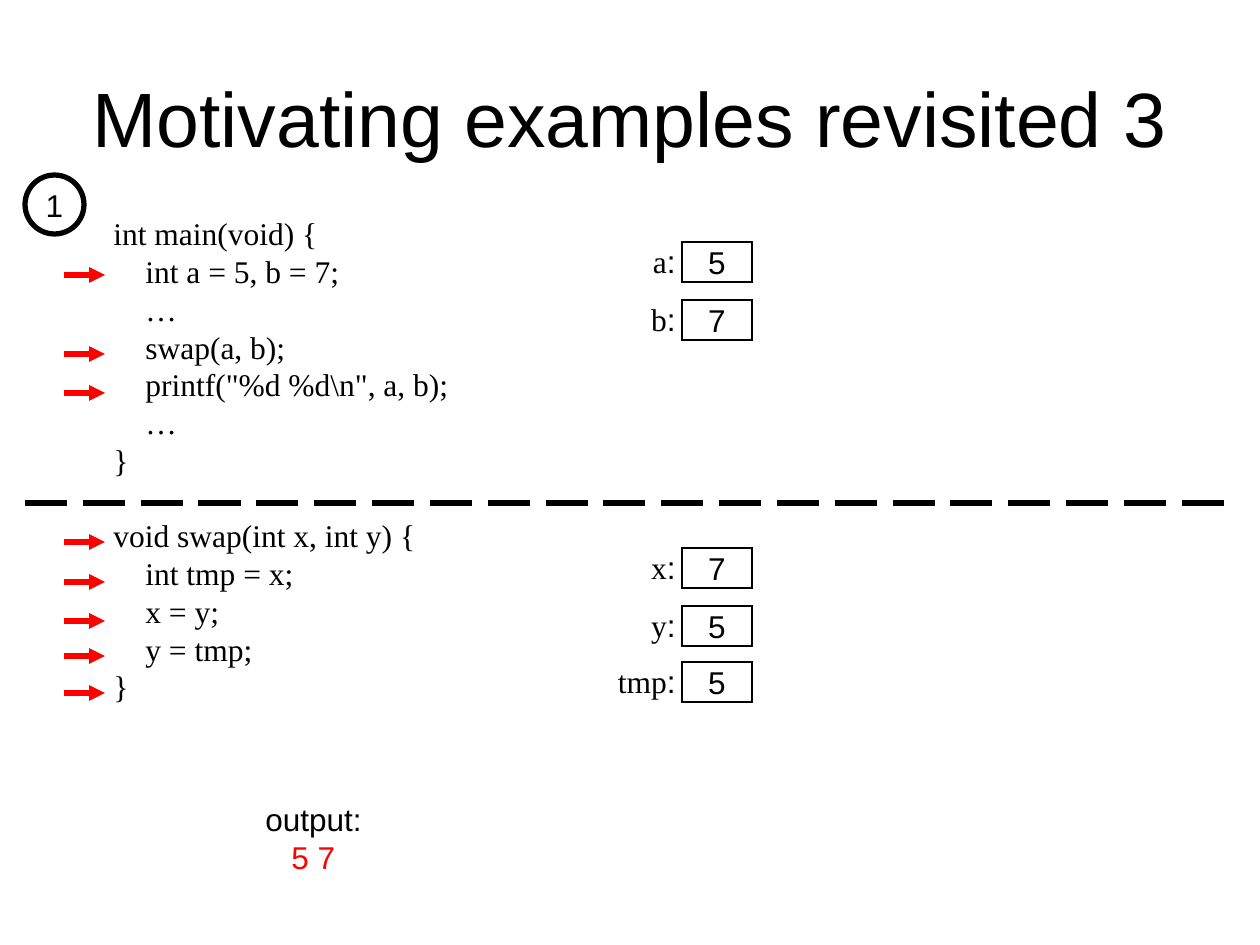
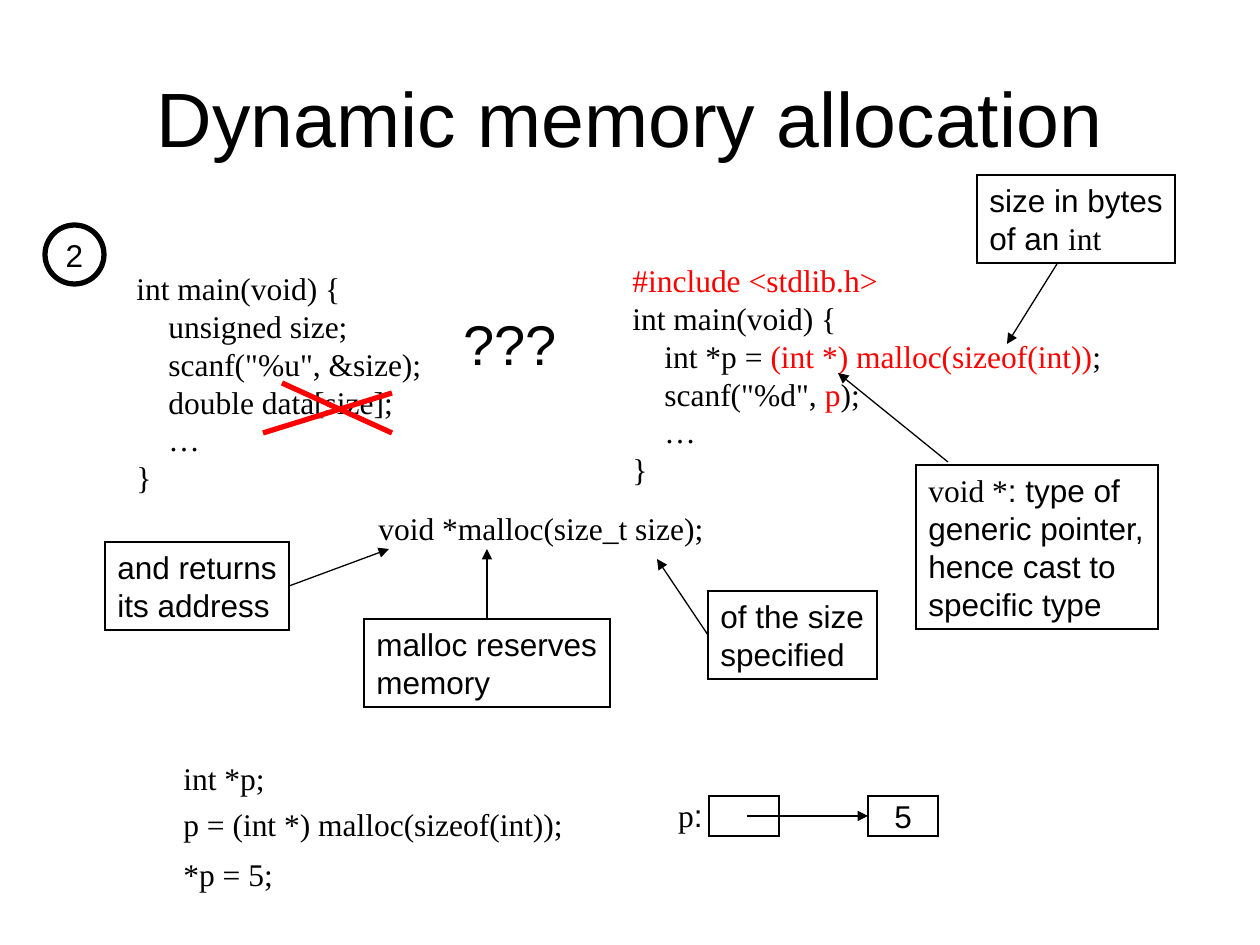
from lxml.etree import SubElement
from pptx import Presentation
from pptx.dml.color import RGBColor
from pptx.enum.dml import MSO_LINE
from pptx.enum.shapes import MSO_CONNECTOR, MSO_SHAPE
from pptx.enum.text import MSO_ANCHOR, MSO_AUTO_SIZE, PP_ALIGN
from pptx.oxml.ns import qn
from pptx.util import Pt

SCALE = 914400 / 126
INK = {"black": "000000", "red": "FF0000", "white": "FFFFFF"}
SANS, SERIF = "Arial", "Times New Roman"
TOP, LEFT, RIGHT = 0, 1, 3
CELL_W, CELL_H = 70, 40


def px(*nums):
    return [round(n * SCALE) for n in nums]


def rgb(name):
    return RGBColor.from_string(INK[name])


def style(font, name=None, color=None, size=None):
    if name:
        font.name = name
    if color:
        font.color.rgb = rgb(color)
    if size:
        font.size = Pt(size)


def write(frame, lines, name=SANS, size=18, align=PP_ALIGN.LEFT, indent=32):
    """Fill a frame; a leading tab indents a line, and a line may be a
    list of (text, overrides) runs."""
    for i, line in enumerate(lines):
        para = frame.paragraphs[0] if i == 0 else frame.add_paragraph()
        para.alignment = align
        style(para.font, name, "black", size)
        runs = [(line, {})] if isinstance(line, str) else line
        if runs[0][0].startswith("\t"):
            para._p.get_or_add_pPr().set("marL", str(px(indent)[0]))
        for text, extra in runs:
            run = para.add_run()
            run.text = text.lstrip("\t")
            style(run.font, **extra)


def label(slide, lines, box, **look):
    frame = slide.shapes.add_textbox(*px(*box)).text_frame
    frame.word_wrap = True
    write(frame, lines, **look)


def code(slide, lines, box):
    label(slide, lines, box, name=SERIF)


def shape(slide, kind, box, width, fill=None):
    item = slide.shapes.add_shape(kind, *px(*box))
    item.shadow.inherit = False
    if fill:
        item.fill.solid()
        item.fill.fore_color.rgb = rgb(fill)
    else:
        item.fill.background()
    item.line.color.rgb = rgb("black")
    item.line.width = Pt(width)
    SubElement(item.line._get_or_add_ln(), qn("a:miter"), lim="800000")
    item.text_frame.word_wrap = False
    return item


def centred(slide, kind, text, box, width):
    item = shape(slide, kind, box, width, "white")
    item.text_frame.vertical_anchor = MSO_ANCHOR.MIDDLE
    if text:
        write(item.text_frame, [text], align=PP_ALIGN.CENTER)
    return item


def badge(slide, text, x, y):
    centred(slide, MSO_SHAPE.OVAL, text, (x, y, 59, 59), 3)


def cell(slide, text, x, y):
    return centred(slide, MSO_SHAPE.RECTANGLE, text, (x, y, CELL_W, CELL_H), 1.5)


def variable(slide, name, value, x, y):
    """A memory cell with its name to the left."""
    label(slide, [[(name, {"name": SERIF}), (":", {})]],
          (x - 94, y - 6, 100, 50), align=PP_ALIGN.RIGHT)
    cell(slide, value, x, y)


def stroke(slide, ends, color="black", width=0.75, head=False):
    link = slide.shapes.add_connector(MSO_CONNECTOR.STRAIGHT, *px(*ends))
    link.line.color.rgb = rgb(color)
    link.line.width = Pt(width)
    if head:
        SubElement(link.line._get_or_add_ln(), qn("a:tailEnd"), type="triangle")
    SubElement(link._element.spPr, qn("a:effectLst"))
    return link


def callout(slide, lines, box, tip, start=None, side=None):
    """A framed note whose arrow leaves from a side or from a start point."""
    note = shape(slide, MSO_SHAPE.RECTANGLE, box, 0.75)
    note.text_frame.vertical_anchor = MSO_ANCHOR.TOP
    write(note.text_frame, lines)
    link = stroke(slide, (start or box[:2]) + tip, head=True)
    if side is not None:
        link.begin_connect(note, side)


def titled(deck, text):
    slide = deck.slides.add_slide(deck.slide_layouts[5])
    title = slide.shapes.title
    title.left, title.top, title.width, title.height = px(63, 38, 1134, 157)
    frame = title.text_frame
    frame.auto_size = MSO_AUTO_SIZE.NONE
    frame.vertical_anchor = MSO_ANCHOR.MIDDLE
    write(frame, [text], size=44, align=PP_ALIGN.CENTER)
    return slide


def swapping(deck):
    slide = titled(deck, "Motivating examples revisited 3")
    badge(slide, "1", 25, 175)
    code(slide, ["int main(void) {", "\tint a = 5, b = 7;", "\t…",
                 "\tswap(a, b);", '\tprintf("%d %d\\n", a, b);', "\t…", "}"],
         (101, 208, 400, 277))
    code(slide, ["void swap(int x, int y) {", "\tint tmp = x;", "\tx = y;",
                 "\ty = tmp;", "}"], (101, 510, 400, 202))
    for y in (275, 354, 393, 542, 582, 621, 656, 693):
        stroke(slide, (64, y, 105, y), "red", 3, head=True)
    rule = stroke(slide, (25, 503, 1235, 503), width=3)
    rule.line.dash_style = MSO_LINE.LONG_DASH
    for name, value, y in (("a", "5", 242), ("b", "7", 300), ("x", "7", 548),
                           ("y", "5", 606), ("tmp", "5", 662)):
        variable(slide, name, value, 682, y)
    label(slide, ["output:", [("\t5 7", {"color": "red"})]],
          (253, 794, 140, 88), indent=26)


def dynamic(deck):
    slide = titled(deck, "Dynamic memory allocation")
    red, serif = {"color": "red"}, {"name": SERIF}
    badge(slide, "2", 45, 225)
    code(slide, ["int main(void) {", "\tunsigned size;", '\tscanf("%u", &size);',
                 "\tdouble data[size];", "\t…", "}"], (124, 263, 330, 239))
    label(slide, ["???"], (451, 303, 140, 81), size=32)
    for ends in ((282, 383, 392, 433), (263, 433, 392, 393)):
        stroke(slide, ends, "red", 3)
    code(slide, [[("#include <stdlib.h>", red)], "int main(void) {",
                 [("\tint *p = ", {}), ("(int *) malloc(sizeof(int))", red), (";", {})],
                 [('\tscanf("%d", ', {}), ("p", red), (");", {})],
                 "\t…", "}"], (620, 255, 520, 239))
    code(slide, ["void *malloc(size_t size);"], (366, 503, 375, 50))

    callout(slide, ["and returns", "its address"], (105, 542, 184, 88),
            (389, 549), side=RIGHT)
    callout(slide, ["malloc reserves", "memory"], (364, 619, 246, 88),
            (487, 549), side=TOP)
    callout(slide, ["of the size", "specified"], (708, 591, 169, 88),
            (657, 559), side=LEFT)
    callout(slide, [[("void *", serif), (": type of", {})], "generic pointer,",
                    "hence cast to", "specific type"], (916, 465, 242, 164),
            (838, 373), start=(948, 462))
    callout(slide, ["size in bytes", [("of an ", {}), ("int", serif)]],
            (977, 175, 198, 88), (1007, 344), start=(1057, 264))

    for text, y in (("int *p;", 753), ("p = (int *) malloc(sizeof(int));", 799),
                    ("*p = 5;", 849)):
        code(slide, [text], (171, y, 440, 50))
    variable(slide, "p", "", 709, 796)
    target = cell(slide, "5", 868, 796)
    stroke(slide, (747, 816, 868, 816), width=1.5, head=True).end_connect(target, LEFT)


def main():
    deck = Presentation()
    deck.slide_width, deck.slide_height = px(1260, 945)
    swapping(deck)
    dynamic(deck)
    deck.save("out.pptx")


if __name__ == "__main__":
    main()
